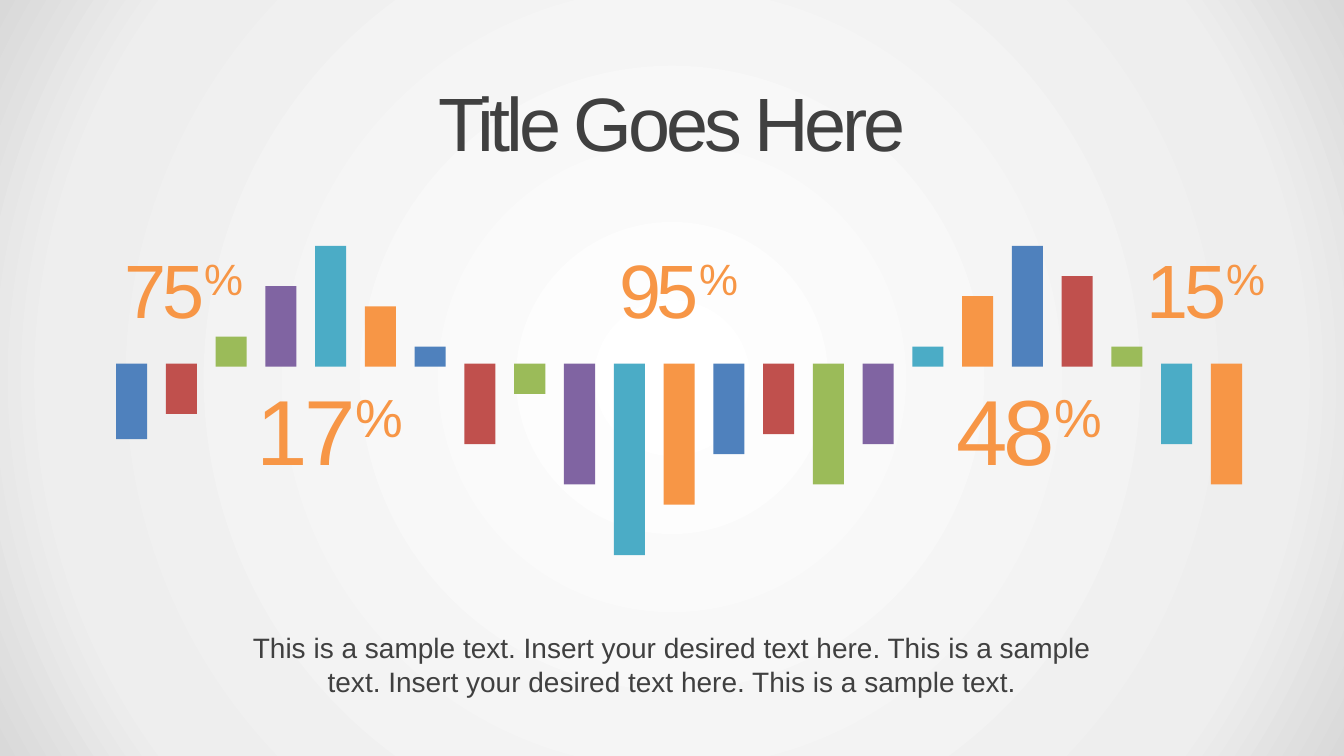
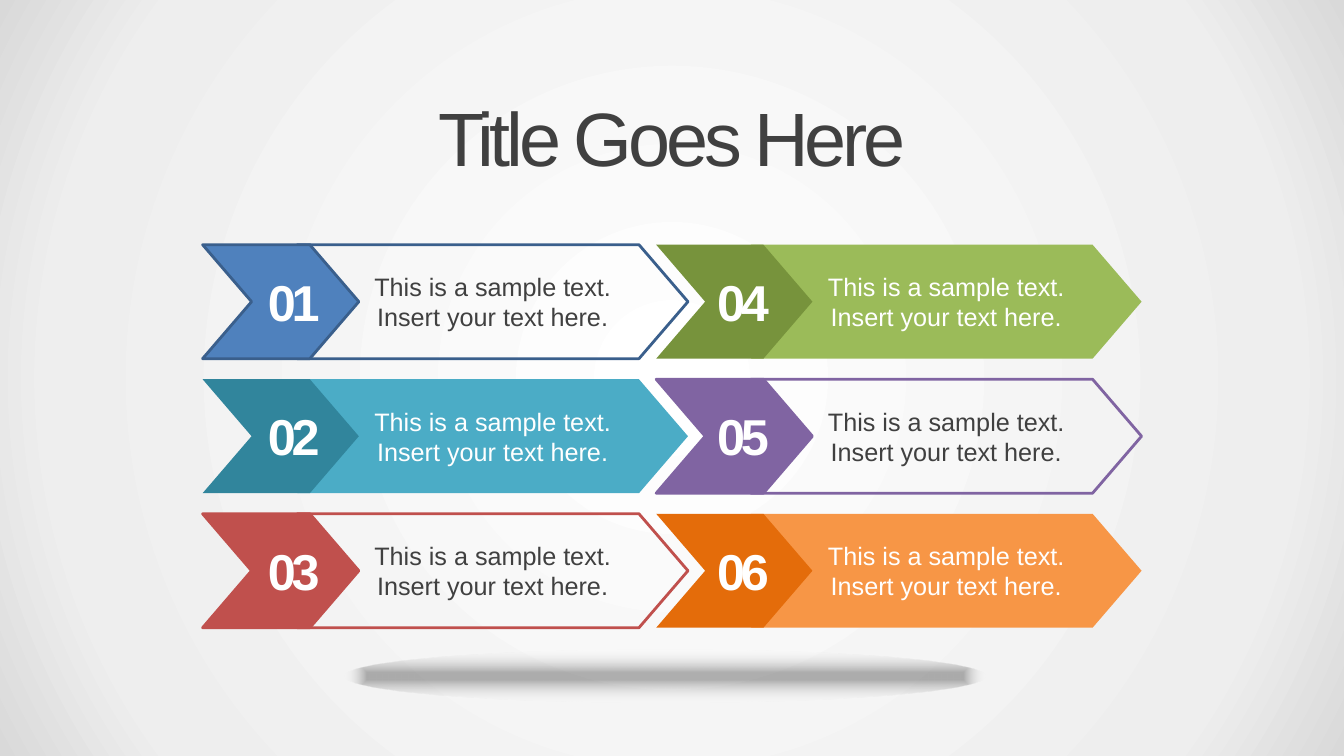
"""Build two infographic slides: a signed bar strip and a grid of numbered arrows."""
import pptx
import pptx.util
import pptx.oxml
import pptx.oxml.ns
import pptx.dml.color
import pptx.enum.shapes
import pptx.enum.text
from dataclasses import dataclass

Pt = pptx.util.Pt
RGB = pptx.dml.color.RGBColor.from_string
KIND = pptx.enum.shapes.MSO_SHAPE
ALIGN = pptx.enum.text.PP_ALIGN
ANCHOR = pptx.enum.text.MSO_ANCHOR
FIT = pptx.enum.text.MSO_AUTO_SIZE


@dataclass(frozen=True)
class Theme:
    """Hold the shared colours, type sizes and font."""
    font: str = "Arial"
    ink: str = "404040"
    white: str = "FFFFFF"
    blue: str = "4F81BD"
    navy: str = "3A5F8C"
    red: str = "C0504D"
    green: str = "9BBB59"
    moss: str = "77933C"
    purple: str = "8064A2"
    teal: str = "4BACC6"
    deep: str = "31859C"
    orange: str = "F79646"
    rust: str = "E46C0A"
    title: int = 54
    note: int = 20
    body: int = 18
    badge: int = 36
    small: int = 54
    large: int = 66


T = Theme()
CYCLE = (T.blue, T.red, T.green, T.purple, T.teal, T.orange)
BACK = ("circle", ((0, "FFFFFF", 100), (81, "EEEEEE", 100), (100, "D9D9D9", 100)))
SHADE = ("shape", ((14, "0D0D0D", 31), (100, "FFFFFF", 0)))

TITLE = "Title Goes Here"
NOTE = ("This is a sample text. Insert your desired text here. "
        "This is a sample text. Insert your desired text here. "
        "This is a sample text.")
STEP = "This is a sample text. Insert your text here."

BARS = (-7.5, -5, 3, 8, 12, 6, 2, -8, -3, -12, -19, -14,
        -9, -7, -12, -8, 2, 7, 12, 9, 2, -8, -12)
HUES = [CYCLE[i % 6] for i in range(21)] + [T.teal, T.orange]

RATES = (
    ("75", 51, 170, T.small),
    ("17", 155.5, 263, T.large),
    ("95", 404.5, 170, T.small),
    ("48", 655, 263, T.large),
    ("15", 781, 170, T.small),
)

# Each step: badge fill, line, body fill
STEPS = (
    (T.blue, T.navy, None),
    (T.deep, None, T.teal),
    (T.red, T.red, None),
    (T.moss, None, T.green),
    (T.purple, T.purple, None),
    (T.rust, None, T.orange),
)


def blend(root, kind, stops):
    """Replace the first solid fill under root with a centred gradient."""
    marks = "".join(
        f'<a:gs pos="{pos * 1000}"><a:srgbClr val="{hue}">'
        f'<a:alpha val="{alpha * 1000}"/></a:srgbClr></a:gs>'
        for pos, hue, alpha in stops)
    grad = pptx.oxml.parse_xml(
        f'<a:gradFill {pptx.oxml.ns.nsdecls("a")} rotWithShape="1">'
        f'<a:gsLst>{marks}</a:gsLst><a:path path="{kind}">'
        '<a:fillToRect l="50000" t="50000" r="50000" b="50000"/>'
        '</a:path></a:gradFill>')
    solid = next(root.iter(pptx.oxml.ns.qn("a:solidFill")))
    solid.getparent().replace(solid, grad)


def style(frame, size, hue, bold=False, tight=False):
    """Format all runs of a wrapped, centred text frame."""
    frame.word_wrap = True
    for para in frame.paragraphs:
        para.alignment = ALIGN.CENTER
        for run in para.runs:
            font = run.font
            font.name, font.size, font.bold = T.font, Pt(size), bold
            font.color.rgb = RGB(hue)
            if tight:
                font._element.set("spc", "-300")


def label(slide, text, box, size, hue, sign="", **look):
    """Add a text box, with an optional raised sign after the text."""
    frame = slide.shapes.add_textbox(*map(Pt, box)).text_frame
    frame.text = text
    if sign:
        run = frame.paragraphs[0].add_run()
        run.text = sign
        run.font._element.set("baseline", "30000")
    style(frame, size, hue, **look)


def draw(slide, kind, box, fill=None, line=None):
    """Add a flat preset shape."""
    shape = slide.shapes.add_shape(kind, *map(Pt, box))
    shape.shadow.inherit = False
    if fill:
        shape.fill.solid()
        shape.fill.fore_color.rgb = RGB(fill)
    else:
        shape.fill.background()
    if line:
        shape.line.color.rgb = RGB(line)
        shape.line.width = Pt(2)
    else:
        shape.line.fill.background()
    return shape


def start(deck, top):
    """Add a slide with the shared title."""
    slide = deck.slides.add_slide(deck.slide_layouts[5])
    head = slide.shapes.title
    head.left, head.top, head.width, head.height = map(Pt, (283, top, 394, 65))
    frame = head.text_frame
    frame.text = TITLE
    frame.auto_size = FIT.NONE
    frame.vertical_anchor = ANCHOR.MIDDLE
    style(frame, T.title, T.ink, tight=True)
    return slide


def strip(deck):
    """Build the bar strip slide."""
    slide = start(deck, 54)
    left, pitch, wide, unit = 82.9, 35.55, 22.2, 7.2
    for i, (value, hue) in enumerate(zip(BARS, HUES)):
        tall = abs(value) * unit
        top = 262 - tall if value > 0 else 259.7
        draw(slide, KIND.RECTANGLE, (left + i * pitch, top, wide, tall), hue)
    for text, x, y, size in RATES:
        label(slide, text, (x, y, 160.5, size * 1.33), size, T.orange,
              sign="%", tight=True)
    label(slide, NOTE, (173, 447, 614, 55), T.note, T.ink)


def arrow(slide, box, fill, line):
    """Add a chevron with the shared point depth."""
    shape = draw(slide, KIND.CHEVRON, box, fill, line)
    shape.adjustments[0] = 0.43
    return shape


def grid(deck):
    """Build the numbered arrow slide."""
    slide = start(deck, 64.5)
    oval = draw(slide, KIND.OVAL, (246, 464, 458, 37.5), T.ink)
    blend(oval.element, *SHADE)
    for i, (badge, line, fill) in enumerate(STEPS):
        col, row = divmod(i, 3)
        x, y = 144.7 + col * 324, 174.8 + row * 96.1
        body = arrow(slide, (x + 67.7, y, 279, 81.4), fill, line)
        body.text_frame.text = STEP
        body.text_frame.vertical_anchor = ANCHOR.MIDDLE
        style(body.text_frame, T.body, T.white if fill else T.ink)
        arrow(slide, (x, y, 111.6, 81.4), badge, line)
        label(slide, f"{i + 1:02}", (154 + col * 321, y + 15.2, 111.6, 51),
              T.badge, T.white, bold=True, tight=True)


def main():
    """Build and save the deck."""
    deck = pptx.Presentation()
    deck.slide_width, deck.slide_height = Pt(960), Pt(540)
    master = deck.slide_master
    master.background.fill.solid()
    master.background.fill.fore_color.rgb = RGB(T.white)
    blend(master.element, *BACK)
    strip(deck)
    grid(deck)
    deck.save("out.pptx")


if __name__ == "__main__":
    main()
